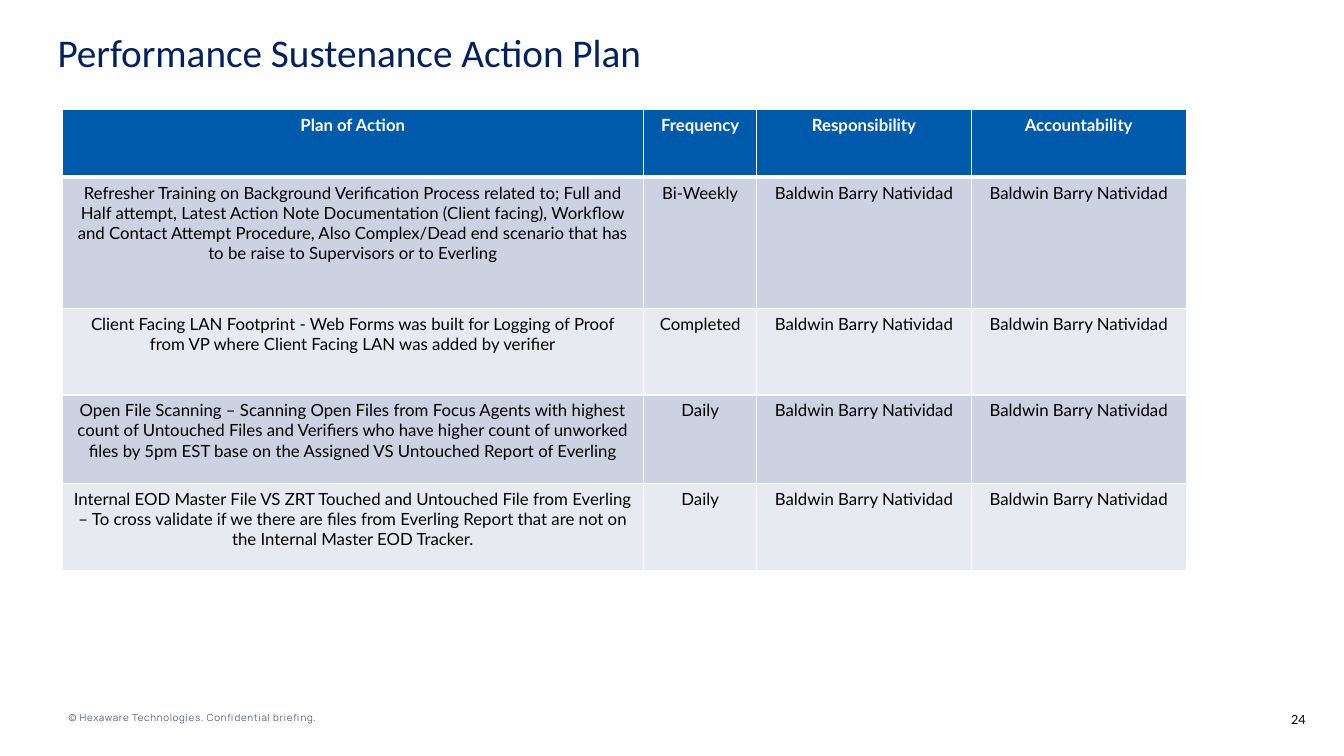
from dataclasses import dataclass

from pptx import Presentation
from pptx.dml.color import RGBColor as Rgb
from pptx.enum.text import MSO_ANCHOR as Anchor, PP_ALIGN as Align
from pptx.oxml.ns import qn
from pptx.util import Inches, Length, Pt
from lxml.etree import SubElement

SLIDE_WIDTH, SLIDE_HEIGHT = Inches(13.33), Inches(7.5)


@dataclass(frozen=True)
class Theme:
    title_font: str = "Calibri"
    body_font: str = "Lato"
    footer_font: str = "Manrope"
    title_size: float = 28
    table_size: float = 12
    number_size: float = 9
    footer_size: float = 7
    navy: str = "002060"
    blue: str = "005AAB"
    band_dark: str = "CCD2E2"
    band_light: str = "E7EAF1"
    footer_grey: str = "5B6383"
    black: str = "000000"
    white: str = "FFFFFF"


@dataclass(frozen=True)
class Area:
    """A rectangle in percent of the slide's width and height."""
    left: float
    top: float
    width: float
    height: float

    def box(self) -> tuple[Length, Length, Length, Length]:
        return (across(self.left), down(self.top),
                across(self.width), down(self.height))


@dataclass(frozen=True)
class Action:
    plan: str
    frequency: str
    height: float
    owner: str = "Baldwin Barry Natividad"

    def texts(self) -> list[str]:
        return [self.plan, self.frequency, self.owner, self.owner]


@dataclass(frozen=True)
class Footer:
    text: str
    area: Area
    style: dict


THEME = Theme()
TITLE_AREA = Area(3.53, 3.73, 79.52, 7.07)
TABLE_LEFT, TABLE_TOP = 4.61, 14.53
HEADINGS = ["Plan of Action", "Frequency", "Responsibility", "Accountability"]
HEADER_HEIGHT = 8.93
COLUMN_WIDTHS = [43.29, 8.4, 15.98, 15.98]

ACTIONS = [
    Action("Refresher Training on Background Verification Process related to; "
           "Full and Half attempt, Latest Action Note Documentation (Client "
           "facing), Workflow and Contact Attempt Procedure, Also Complex/Dead "
           "end scenario that has to be raise to Supervisors or to Everling",
           "Bi-Weekly", 17.33),
    Action("Client Facing LAN Footprint - Web Forms was built for Logging of "
           "Proof from VP where Client Facing LAN was added by verifier",
           "Completed", 11.47),
    Action("Open File Scanning – Scanning Open Files from Focus Agents with "
           "highest count of Untouched Files and Verifiers who have higher "
           "count of unworked files by 5pm EST base on the Assigned VS "
           "Untouched Report of Everling", "Daily", 11.73),
    Action("Internal EOD Master File VS ZRT Touched and Untouched File from "
           "Everling – To cross validate if we there are files from Everling "
           "Report that are not on the Internal Master EOD Tracker.",
           "Daily", 11.47),
]

FOOTERS = [
    Footer("24", Area(94.9, 94.13, 2.25, 2),
           dict(font=THEME.body_font, size=THEME.number_size,
                color=THEME.black, align=Align.RIGHT)),
    Footer("© Hexaware Technologies. Confidential briefing.",
           Area(5.1, 94.13, 22.81, 1.6),
           dict(font=THEME.footer_font, size=THEME.footer_size,
                color=THEME.footer_grey, tracking=0.5)),
]


def across(percent: float) -> Length:
    return Length(round(SLIDE_WIDTH * percent / 100))


def down(percent: float) -> Length:
    return Length(round(SLIDE_HEIGHT * percent / 100))


def write(frame, text: str, *, font: str, size: float, color: str,
          bold: bool = False, align=Align.LEFT, line_spacing: float = 1.0,
          tracking: float = 0) -> None:
    para = frame.paragraphs[0]
    para.alignment = align
    para.line_spacing = line_spacing
    span = para.add_run()
    span.text = text
    span.font.name = font
    span.font.size = Pt(size)
    span.font.bold = bold
    span.font.color.rgb = Rgb.from_string(color)
    if tracking:
        span._r.get_or_add_rPr().set("spc", str(round(tracking * 100)))


def add_borders(cell, top: float, bottom: float) -> None:
    properties = cell._tc.get_or_add_tcPr()
    for side, width in (("L", 1), ("R", 1), ("T", top), ("B", bottom)):
        line = SubElement(properties, qn(f"a:ln{side}"), w=str(Pt(width)))
        fill = SubElement(line, qn("a:solidFill"))
        SubElement(fill, qn("a:srgbClr"), val=THEME.white)


def add_title(page, text: str) -> None:
    title = page.shapes.title
    title.left, title.top, title.width, title.height = TITLE_AREA.box()
    title.text_frame.vertical_anchor = Anchor.MIDDLE
    write(title.text_frame, text, font=THEME.title_font, size=THEME.title_size,
          color=THEME.navy, line_spacing=0.9)


def add_action_table(page) -> None:
    rows = [HEADINGS] + [action.texts() for action in ACTIONS]
    heights = [HEADER_HEIGHT] + [action.height for action in ACTIONS]
    area = Area(TABLE_LEFT, TABLE_TOP, sum(COLUMN_WIDTHS), sum(heights))
    table = page.shapes.add_table(len(rows), len(HEADINGS), *area.box()).table
    for column, width in zip(table.columns, COLUMN_WIDTHS):
        column.width = across(width)
    for index, (texts, height) in enumerate(zip(rows, heights)):
        table.rows[index].height = down(height)
        header = index == 0
        band = THEME.band_dark if index % 2 else THEME.band_light
        for cell, text in zip(table.rows[index].cells, texts):
            # A thick rule parts the header from the body
            add_borders(cell, top=3 if index == 1 else 1,
                        bottom=3 if header else 1)
            cell.fill.solid()
            cell.fill.fore_color.rgb = Rgb.from_string(
                THEME.blue if header else band)
            write(cell.text_frame, text, font=THEME.body_font,
                  size=THEME.table_size, bold=header, align=Align.CENTER,
                  color=THEME.white if header else THEME.black)


def add_footer(page, footer: Footer) -> None:
    frame = page.shapes.add_textbox(*footer.area.box()).text_frame
    frame.word_wrap = True
    frame.margin_left = frame.margin_right = 0
    frame.margin_top = frame.margin_bottom = 0
    write(frame, footer.text, **footer.style)


def main() -> None:
    deck = Presentation()
    deck.slide_width, deck.slide_height = SLIDE_WIDTH, SLIDE_HEIGHT
    page = deck.slides.add_slide(deck.slide_layouts.get_by_name("Title Only"))

    # Page number and copyright line
    for footer in FOOTERS:
        add_footer(page, footer)

    # Title and action plan
    add_title(page, "Performance Sustenance Action Plan")
    add_action_table(page)

    deck.save("out.pptx")


if __name__ == "__main__":
    main()
